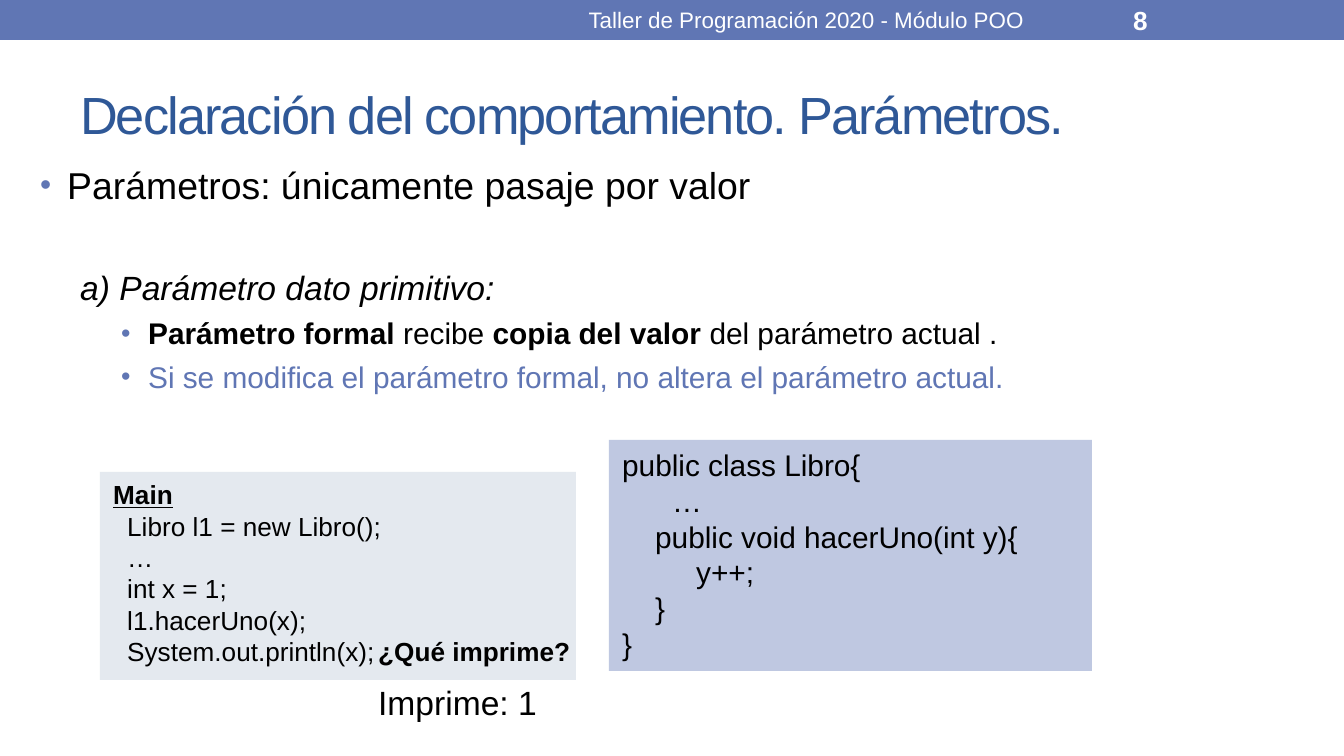
import pptx
import pptx.dml.color
import pptx.enum.shapes
import pptx.enum.text
import pptx.oxml
import pptx.oxml.ns
import pptx.util

ANCHOR = pptx.enum.text.MSO_ANCHOR
ALIGN = pptx.enum.text.PP_ALIGN
BLUE, WHITE, BLACK = "6076B4", "FFFFFF", "000000"


def px(length):
    return pptx.util.Emu(round(length * 914400 / 134.4))


def color(value):
    return pptx.dml.color.RGBColor.from_string(value)


class SlideBuilder:
    """Draws styled elements on one slide."""

    font_name = "Arial"

    def __init__(self, slide):
        self.slide = slide

    def box(self, left, top, width, height, fill):
        shape = self.slide.shapes.add_shape(
            pptx.enum.shapes.MSO_SHAPE.RECTANGLE, *map(px, (left, top, width, height)))
        shape.shadow.inherit = False
        shape.fill.solid()
        shape.fill.fore_color.rgb = color(fill)
        shape.line.fill.background()
        return shape

    def text(self, left, top, width, height, anchor=ANCHOR.TOP):
        shape = self.slide.shapes.add_textbox(*map(px, (left, top, width, height)))
        shape.text_frame.word_wrap = True
        shape.text_frame.vertical_anchor = anchor
        return shape

    def paragraph(self, shape, runs, size, hex_color=BLACK, first=False,
                  indent=0, bullet=None, spacing=0, align=ALIGN.LEFT):
        frame = shape.text_frame
        paragraph = frame.paragraphs[0] if first else frame.add_paragraph()
        paragraph.alignment = align
        paragraph.space_before = pptx.util.Pt(spacing)
        properties = paragraph._p.get_or_add_pPr()
        properties.set("marL", str(px(indent)))
        properties.set("indent", str(px(-27 if bullet else 0)))
        if bullet:
            self.bullet(properties, bullet)
        for words, style in runs:
            run = paragraph.add_run()
            run.text = words
            run.font.color.rgb = color(hex_color)
            values = {"name": self.font_name, "size": pptx.util.Pt(size), **style}
            for name, value in values.items():
                setattr(run.font, name, value)
        return paragraph

    def bullet(self, properties, percent):
        namespace = pptx.oxml.ns.nsdecls("a")
        for element in (f'<a:buClr {namespace}><a:srgbClr val="{BLUE}"/></a:buClr>',
                        f'<a:buSzPct {namespace} val="{percent * 1000}"/>',
                        f'<a:buFont {namespace} typeface="{self.font_name}"/>',
                        f'<a:buChar {namespace} char="•"/>'):
            properties.append(pptx.oxml.parse_xml(element))

    def label(self, place, words, size, hex_color=BLACK, anchor=ANCHOR.TOP,
              align=ALIGN.LEFT, **style):
        shape = self.text(*place, anchor)
        return self.paragraph(shape, [(words, style)], size, hex_color, True, align=align)

    def code(self, place, fill, size, lines):
        shape = self.box(*place, fill)
        shape.text_frame.word_wrap = True
        shape.text_frame.vertical_anchor = ANCHOR.TOP
        for number, (indent, words, style) in enumerate(lines):
            self.paragraph(shape, [(words, style)], size, first=number == 0, indent=indent)


def main():
    presentation = pptx.Presentation()
    presentation.slide_width, presentation.slide_height = px(1344), px(756)
    builder = SlideBuilder(presentation.slides.add_slide(presentation.slide_layouts[6]))

    builder.box(0, 0, 1344, 40, BLUE)
    title = builder.label((67, 59, 1210, 109), "Declaración del comportamiento. Parámetros.",
                          28, "2F5897", ANCHOR.MIDDLE)
    title.runs[0]._r.get_or_add_rPr().set("spc", "-100")

    body = builder.text(27, 156, 1027, 538)
    bold = {"bold": True}
    builder.paragraph(body, [("Parámetros: únicamente pasaje por valor", {})], 20,
                      first=True, indent=27, bullet=85)
    builder.paragraph(body, [("a) Parámetro dato primitivo:", {"italic": True})], 18,
                      indent=40, spacing=32)
    builder.paragraph(body, [("Parámetro formal ", bold), ("recibe ", {}),
                             ("copia del valor ", bold), ("del parámetro actual .", {})],
                      16, indent=108, bullet=90, spacing=4)
    builder.paragraph(
        body, [("Si se modifica el parámetro formal, no altera el parámetro actual.", {})],
        16, BLUE, indent=108, bullet=90, spacing=4)

    builder.label((504, 2, 605, 36), "Taller de Programación 2020 - Módulo POO", 12, WHITE,
                  ANCHOR.MIDDLE, ALIGN.CENTER)
    builder.label((1120, 2, 157, 36), "8", 14, WHITE, ANCHOR.MIDDLE, bold=True)

    statements = ("Libro l1 = new Libro();", "…", "int x = 1;", "l1.hacerUno(x);",
                  "System.out.println(x);")
    builder.code((100, 472, 476, 208), "E4E9EF", 14,
                 [(0, "Main", {"bold": True, "underline": True})]
                 + [(14, statement, {}) for statement in statements])
    builder.code((609, 440, 483, 231), "BFC8E1", 16, [
        (0, "public class Libro{", {}),
        (50, "…", {}),
        (33, "public void hacerUno(int y){", {}),
        (74, "y++;", {}),
        (33, "}", {}),
        (0, "}", {}),
    ])
    builder.label((365, 629, 233, 45), "¿Qué imprime?", 14, bold=True)
    builder.label((365, 675, 211, 54), "Imprime: 1", 18)

    presentation.save("out.pptx")


if __name__ == "__main__":
    main()
